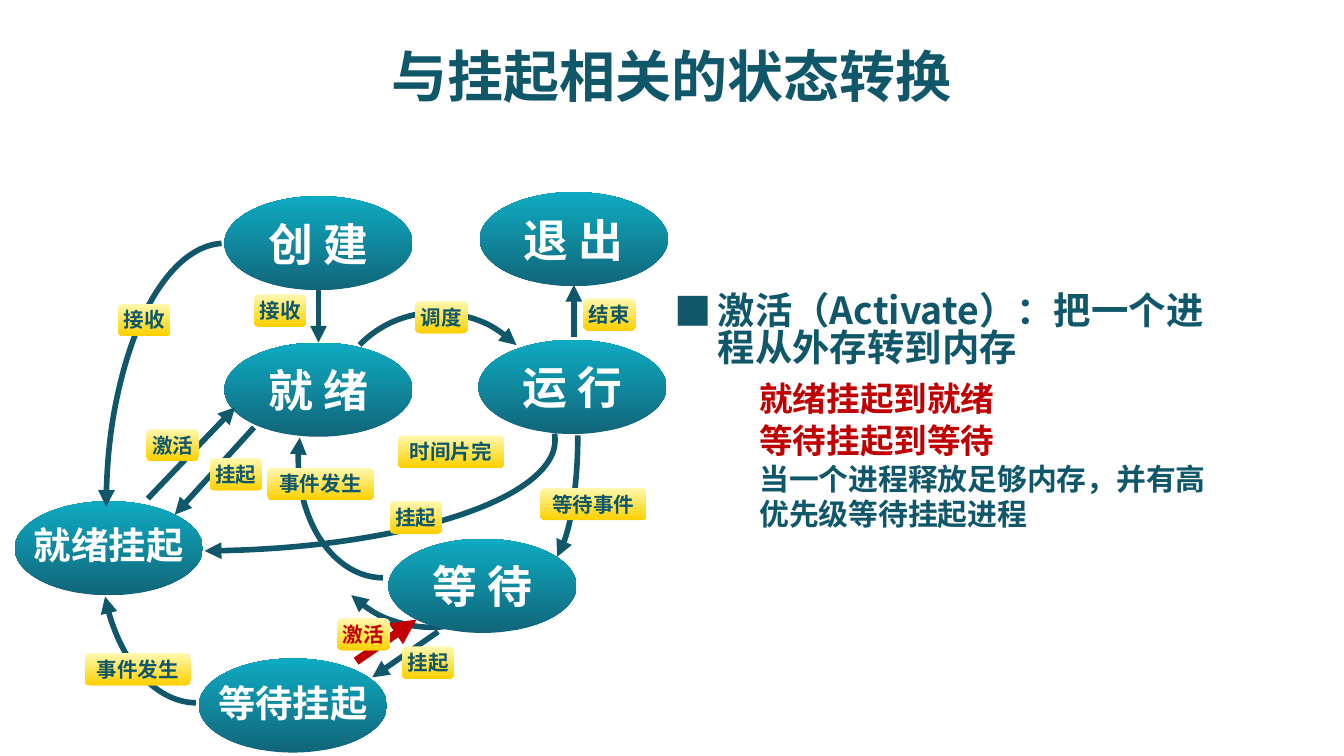
from dataclasses import dataclass

from lxml import etree
from pptx import Presentation
from pptx.dml.color import RGBColor
from pptx.enum.shapes import MSO_CONNECTOR as Connector, MSO_SHAPE as Preset
from pptx.enum.text import MSO_ANCHOR as Anchor, MSO_AUTO_SIZE as AutoSize, PP_ALIGN as Align
from pptx.oxml.ns import qn
from pptx.util import Inches, Pt


@dataclass(frozen=True)
class Theme:
    font: str = "Noto Sans CJK SC"
    bullet_font: str = "Noto Sans CJK JP"
    ink: str = "11576A"
    accent: str = "C00000"
    light: str = "FFFFFF"
    state_stops: tuple = ((0, "116579"), (77, "0F9BB1"), (100, "0EABC2"))
    label_stops: tuple = ((0, "FFF9B1"), (100, "FDD000"))
    title: int = 30
    state: int = 24
    long_state: int = 20
    label: int = 11
    lead: int = 20
    case: int = 18
    detail: int = 16
    line: float = 3


THEME = Theme()
STATE_SIZE = (1.4, 0.7)
LABEL_HEIGHT = 0.24


@dataclass
class State:
    text: str
    left: float
    top: float


@dataclass
class Label:
    text: str
    left: float
    top: float
    color: str = THEME.ink


@dataclass
class Arrow:
    start: tuple[float, float]
    end: tuple[float, float]
    color: str = THEME.ink
    width: float = THEME.line


@dataclass
class Curve:
    box: tuple[float, float, float, float]
    start: float = 270
    end: float = 0
    rotation: float = 0
    flip: str = ""
    arrow_at: str = "tailEnd"


@dataclass
class Point:
    text: str
    size: float
    color: str
    line: float
    indent: float
    before: float = 0
    bullet: str = ""


states = [
    State("创 建", 1.67, 1.46), State("就 绪", 1.67, 2.55),
    State("运 行", 3.56, 2.53), State("等 待", 2.89, 4.01),
    State("退 出", 3.57, 1.43), State("就绪挂起", 0.11, 3.73),
    State("等待挂起", 1.48, 4.9),
]
back_curves = [
    Curve((3.8, 2.26, 0.5, 1.96), 0.13, 83.91),
    Curve((2.35, 2.96, 1.67, 1.72), 267.64, 359.27, rotation=134),
]
front_curves = [
    Curve((2.47, 2.31, 1.62, 1.68), rotation=314),
    Curve((-1.26, 2.45, 5.39, 1.65), 358.96, 83.95),
    Curve((2.22, 2.54, 1.26, 1.76), 345.24, 90, flip="H", arrow_at="headEnd"),
    Curve((0.75, 2.98, 1.43, 2.25), 26.13, 89.63, flip="H", arrow_at="headEnd"),
    Curve((0.79, 1.81, 1.77, 3.95), 0.9, 89.23, flip="HV", arrow_at="headEnd"),
]
arrows = [
    Arrow((2.37, 2.16), (2.37, 2.55)),
    Arrow((4.27, 2.51), (4.27, 2.12)),
    Arrow((3.26, 4.7), (2.77, 5.04)),
    Arrow((2.65, 4.92), (3.1, 4.61), THEME.accent, 4.5),
    Arrow((1.1, 3.71), (1.75, 3.03)),
    Arrow((1.89, 3.18), (1.3, 3.83)),
]
labels = [
    Label("挂起", 2.9, 3.73), Label("接收", 0.88, 2.26),
    Label("事件发生", 0.63, 4.86), Label("接收", 1.89, 2.19),
    Label("激活", 1.09, 3.19), Label("挂起", 1.56, 3.41),
    Label("事件发生", 1.99, 3.48), Label("激活", 2.51, 4.6, THEME.accent),
    Label("挂起", 2.99, 4.81), Label("等待事件", 4.02, 3.63),
    Label("时间片完", 2.96, 3.24), Label("调度", 3.09, 2.24),
    Label("结束", 4.34, 2.22),
]
points = [
    Point("激活（Activate）：把一个进程从外存转到内存", THEME.lead, THEME.ink, 20, 0.32, bullet="■"),
    Point("就绪挂起到就绪", THEME.case, THEME.accent, 22, 0.63, before=4.5),
    Point("等待挂起到等待", THEME.case, THEME.accent, 22, 0.63, before=0.5),
    Point("当一个进程释放足够内存，并有高优先级等待挂起进程", THEME.detail, THEME.ink, 19, 0.63),
]


def write(paragraph, text: str, *, size: float, color: str, align=Align.LEFT) -> None:
    paragraph.alignment = align
    run = paragraph.add_run()
    run.text = text
    run.font.size, run.font.bold, run.font.name = Pt(size), True, THEME.font
    run.font.color.rgb = RGBColor.from_string(color)
    etree.SubElement(run.font._element, qn("a:ea"), typeface=THEME.font)


def place(shape, left: float, top: float, width: float, height: float) -> None:
    shape.left, shape.top = Inches(left), Inches(top)
    shape.width, shape.height = Inches(width), Inches(height)


def gradient(shape, stops: tuple, angle: int) -> None:
    shape.fill.gradient()
    fill = shape._element.spPr.find(qn("a:gradFill"))
    stop_list = fill.find(qn("a:gsLst"))
    for old in list(stop_list):
        stop_list.remove(old)
    for position, color in stops:
        stop = etree.SubElement(stop_list, qn("a:gs"), pos=str(position * 1000))
        etree.SubElement(stop, qn("a:srgbClr"), val=color)
    fill.find(qn("a:lin")).set("ang", str(angle * 60000))


def stroke(shape, color: str, width: float, arrow_at: str = "tailEnd") -> None:
    shape.line.color.rgb = RGBColor.from_string(color)
    shape.line.width = Pt(width)
    etree.SubElement(shape.line._get_or_add_ln(), qn(f"a:{arrow_at}"), type="triangle")


def add_node(slide, preset, box: tuple, text: str, stops: tuple, angle: int,
             size: float, color: str, lift: float = 0) -> None:
    node = slide.shapes.add_shape(preset, *map(Inches, box))
    node.shadow.inherit = False
    node.line.fill.background()
    gradient(node, stops, angle)
    frame = node.text_frame
    frame.word_wrap, frame.vertical_anchor = False, Anchor.MIDDLE
    frame.margin_left = frame.margin_right = frame.margin_top = 0
    frame.margin_bottom = Inches(lift)
    write(frame.paragraphs[0], text, size=size, color=color, align=Align.CENTER)


def add_curve(slide, curve: Curve) -> None:
    arc = slide.shapes.add_shape(Preset.ARC, *map(Inches, curve.box))
    arc.shadow.inherit = False
    arc.fill.background()
    # Arc angles are stored in 60000ths of a degree, adjustments in 100000ths
    arc.adjustments[0], arc.adjustments[1] = curve.start * 0.6, curve.end * 0.6
    arc.rotation = curve.rotation
    for axis in curve.flip:
        arc._element.spPr.find(qn("a:xfrm")).set(f"flip{axis}", "1")
    stroke(arc, THEME.ink, THEME.line, curve.arrow_at)


def add_arrow(slide, arrow: Arrow) -> None:
    line = slide.shapes.add_connector(
        Connector.STRAIGHT, *map(Inches, (*arrow.start, *arrow.end)))
    stroke(line, arrow.color, arrow.width)
    etree.SubElement(line._element.spPr, qn("a:effectLst"))


def add_point(paragraph, point: Point) -> None:
    write(paragraph, point.text, size=point.size, color=point.color)
    paragraph.line_spacing, paragraph.space_before = Pt(point.line), Pt(point.before)
    props = paragraph._p.get_or_add_pPr()
    props.set("marL", str(Inches(point.indent)))
    props.set("indent", str(-Inches(point.indent) if point.bullet else 0))
    if point.bullet:
        etree.SubElement(props, qn("a:buFont"), typeface=THEME.bullet_font)
        etree.SubElement(props, qn("a:buChar"), char=point.bullet)
    else:
        etree.SubElement(props, qn("a:buNone"))


# Widescreen slide, 16:9
deck = Presentation()
deck.slide_width = Inches(10)
deck.slide_height = deck.slide_width * 9 // 16
slide = deck.slides.add_slide(deck.slide_layouts[1])

# Title
title = slide.shapes.title
place(title, 0.75, 0.1, 8.5, 0.92)
title.text_frame.vertical_anchor = Anchor.MIDDLE
write(title.text_frame.paragraphs[0], "与挂起相关的状态转换",
      size=THEME.title, color=THEME.ink, align=Align.CENTER)

# Explanation
explanation = slide.placeholders[1]
place(explanation, 4.92, 2.14, 4.33, 1.9)
body = explanation.text_frame
body.auto_size, body.word_wrap, body.vertical_anchor = AutoSize.NONE, True, Anchor.TOP
for index, point in enumerate(points):
    add_point(body.add_paragraph() if index else body.paragraphs[0], point)

# State diagram
for curve in back_curves:
    add_curve(slide, curve)
for state in states:
    is_long = len(state.text) > 3
    add_node(slide, Preset.OVAL, (state.left, state.top, *STATE_SIZE), state.text,
             THEME.state_stops, 270, THEME.long_state if is_long else THEME.state,
             THEME.light, lift=0.05 if is_long else 0)
for curve in front_curves:
    add_curve(slide, curve)
for arrow in arrows:
    add_arrow(slide, arrow)

# Transition labels
for label in labels:
    box = (label.left, label.top, 0.2 * len(label.text) - 0.01, LABEL_HEIGHT)
    add_node(slide, Preset.ROUNDED_RECTANGLE, box, label.text,
             THEME.label_stops, 90, THEME.label, label.color)

deck.save("out.pptx")
